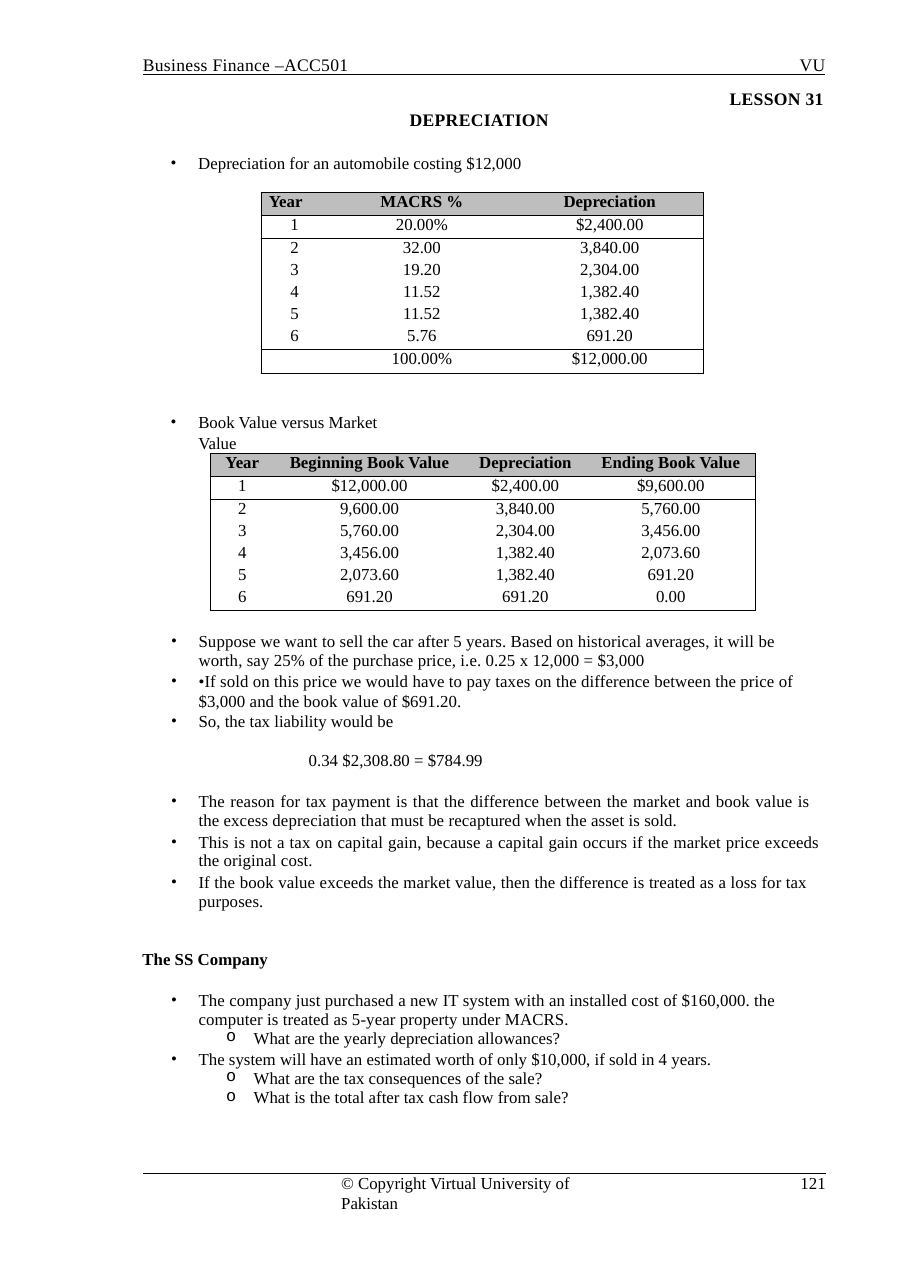
from lxml import etree
from pptx import Presentation
from pptx import util as u
from pptx.dml.color import RGBColor
from pptx.enum import shapes, text
from pptx.oxml.ns import qn

PAGE_WIDTH, PAGE_HEIGHT = u.Pt(595), u.Pt(842.5)
BLACK = RGBColor(0x00, 0x00, 0x00)
GREY = RGBColor(0xBE, 0xBE, 0xBE)
FONT = "Times New Roman"
LEFT, CENTER, RIGHT, JUSTIFY = (
    text.PP_ALIGN.LEFT, text.PP_ALIGN.CENTER, text.PP_ALIGN.RIGHT, text.PP_ALIGN.JUSTIFY)

MACRS = [
    ["Year", "MACRS %", "Depreciation"],
    ["1", "20.00%", "$2,400.00"],
    ["2", "32.00", "3,840.00"],
    ["3", "19.20", "2,304.00"],
    ["4", "11.52", "1,382.40"],
    ["5", "11.52", "1,382.40"],
    ["6", "5.76", "691.20"],
    ["", "100.00%", "$12,000.00"],
]
BOOK_VALUES = [
    ["Year", "Beginning Book Value", "Depreciation", "Ending Book Value"],
    ["1", "$12,000.00", "$2,400.00", "$9,600.00"],
    ["2", "9,600.00", "3,840.00", "5,760.00"],
    ["3", "5,760.00", "2,304.00", "3,456.00"],
    ["4", "3,456.00", "1,382.40", "2,073.60"],
    ["5", "2,073.60", "1,382.40", "691.20"],
    ["6", "691.20", "691.20", "0.00"],
]
BULLET = dict(bullet="•", margin=0.51)
LONG = dict(BULLET, spacing=12.6, right=0.2, tracking=5)
REASON = dict(BULLET, align=JUSTIFY, tracking=5)
QUESTION = dict(bullet="o", margin=1.01, bullet_font="Courier New", level=1)
NOTES = [
    ("Suppose we want to sell the car after 5 years. Based on historical averages, it will be "
     "worth, say 25% of the purchase price, i.e. 0.25 x 12,000 = $3,000", LONG),
    ("•If sold on this price we would have to pay taxes on the difference between the price of "
     "$3,000 and the book value of $691.20.", dict(LONG, before=1.1)),
    ("So, the tax liability would be", dict(BULLET, before=0.2)),
    ("0.34 $2,308.80 = $784.99", dict(margin=1.51, before=12)),
    ("The reason for tax payment is that the difference between the market and book value is "
     "the excess depreciation that must be recaptured when the asset is sold.",
     dict(REASON, spacing=12.6, before=14.4, right=0.13)),
    ("This is not a tax on capital gain, because a capital gain occurs if the market price exceeds "
     "the original cost.", dict(REASON, spacing=12.2, before=1.8, right=0.04)),
    ("If the book value exceeds the market value, then the difference is treated as a loss for "
     "tax purposes.", dict(REASON, spacing=12.3, before=1.8, right=0.15)),
    ("The SS Company", dict(bold=True, before=24.6)),
    ("The company just purchased a new IT system with an installed cost of $160,000. the "
     "computer is treated as 5-year property under MACRS.", dict(LONG, before=14.6)),
    ("What are the yearly depreciation allowances?", dict(QUESTION, spacing=11.9)),
    ("The system will have an estimated worth of only $10,000, if sold in 4 years.",
     dict(BULLET, spacing=12.9, before=0.8)),
    ("What are the tax consequences of the sale?", dict(QUESTION, spacing=12.4)),
    ("What is the total after tax cash flow from sale?", dict(QUESTION, spacing=12.7)),
]


def across(percent):
    return round(PAGE_WIDTH * percent / 100)


def down(percent):
    return round(PAGE_HEIGHT * percent / 100)


def fill_paragraph(paragraph, words, size=11, bold=False, align=LEFT, margin=0, right=0,
                   bullet=None, bullet_font=FONT, level=0, before=0, spacing=None, tracking=0):
    run = paragraph.add_run()
    run.text = words
    if tracking:
        run._r.get_or_add_rPr().set("spc", str(tracking))
    properties = paragraph._p.get_or_add_pPr()
    properties.set("marL", str(u.Inches(margin)))
    properties.set("marR", str(u.Inches(right)))
    properties.set("indent", str(u.Inches(-0.25 if bullet else 0)))
    if bullet:
        etree.SubElement(properties, qn("a:buFont"), typeface=bullet_font)
        etree.SubElement(properties, qn("a:buChar"), char=bullet)
    paragraph.level = level
    paragraph.alignment = align
    paragraph.space_before = u.Pt(before)
    if spacing:
        paragraph.line_spacing = u.Pt(spacing)
    font = paragraph.font
    font.name, font.size, font.bold = FONT, u.Pt(size), bold
    font.color.rgb = BLACK


def add_text(slide, box, items):
    left, top, width, height = box
    shape = slide.shapes.add_textbox(across(left), down(top), across(width), down(height))
    frame = shape.text_frame
    frame.word_wrap = True
    frame.margin_left = frame.margin_right = frame.margin_bottom = 0
    frame.margin_top = u.Inches(0.02)
    for index, (words, style) in enumerate(items):
        paragraph = frame.add_paragraph() if index else frame.paragraphs[0]
        fill_paragraph(paragraph, words, **style)


def add_rule(slide, left, top, width, weight):
    rule = slide.shapes.add_connector(
        shapes.MSO_CONNECTOR.STRAIGHT, across(left), down(top), across(left + width), down(top))
    rule.line.color.rgb = BLACK
    rule.line.width = u.Pt(weight)
    etree.SubElement(rule._element.spPr, qn("a:effectLst"))


def set_borders(cell, sides):
    properties = cell._tc.get_or_add_tcPr()
    for side in "LRTB":
        line = etree.SubElement(properties, qn(f"a:ln{side}"), w=str(u.Pt(0.75)))
        if side in sides:
            fill = etree.SubElement(line, qn("a:solidFill"))
            etree.SubElement(fill, qn("a:srgbClr"), val=str(BLACK))
        else:
            etree.SubElement(line, qn("a:noFill"))


def add_schedule(slide, box, rows, column_shares, row_shares, ruled, year_align):
    left, top, width, height = box
    last = len(column_shares) - 1
    table = slide.shapes.add_table(
        len(rows), last + 1, across(left), down(top), across(width), down(height)).table
    table.first_row = table.horz_banding = False
    for column, share in zip(table.columns, column_shares):
        column.width = across(width * share / sum(column_shares))
    for r, values in enumerate(rows):
        table.rows[r].height = down(height * row_shares[r] / sum(row_shares))
        for c, value in enumerate(values):
            cell = table.cell(r, c)
            cell.margin_left = cell.margin_right = cell.margin_top = cell.margin_bottom = 0
            sides = {"L": c == 0, "R": c == last, "T": r in ruled, "B": r + 1 in ruled}
            set_borders(cell, [side for side, shown in sides.items() if shown])
            if r == 0:
                cell.fill.solid()
                cell.fill.fore_color.rgb = GREY
            else:
                cell.fill.background()
            paragraph = cell.text_frame.paragraphs[0]
            if not value:
                etree.SubElement(paragraph._p, qn("a:endParaRPr"), sz="1100")
                continue
            align = year_align if r == c == 0 else CENTER
            fill_paragraph(paragraph, value, bold=r == 0, align=align,
                           margin=0.07 if align == LEFT else 0)


def add_header(slide, box):
    left, top, width, height = box
    line = (left, top, width, height / 2)
    style = dict(size=11.5, tracking=20)
    add_text(slide, line, [("Business Finance –ACC501", style)])
    add_text(slide, line, [("VU", dict(style, align=RIGHT))])
    add_rule(slide, left, top + 1.75, width, 0.75)
    add_text(slide, (left, top + 2.65, width - 0.2, height / 2),
             [("LESSON 31", dict(style, bold=True, align=RIGHT))])


def add_footer(slide, box):
    left, top, width, height = box
    add_rule(slide, left, top + 0.15, width, 1)
    add_text(slide, (left + width * 0.29, top, 31.1, height),
             [("© Copyright Virtual University of Pakistan", dict(spacing=12.8, tracking=-2))])
    add_text(slide, (left + width * 0.9, top, width * 0.1, height),
             [("121", dict(spacing=12.8, align=RIGHT))])


def main():
    presentation = Presentation()
    presentation.slide_width, presentation.slide_height = PAGE_WIDTH, PAGE_HEIGHT
    slide = presentation.slides.add_slide(presentation.slide_layouts[6])
    topic = dict(bullet="•", margin=0.26)
    add_header(slide, (15.7, 4.02, 75, 4))
    add_text(slide, (18.64, 8.29, 68.04, 5.2), [
        ("DEPRECIATION", dict(size=11.5, bold=True, align=CENTER, tracking=20)),
        ("Depreciation for an automobile costing $12,000", dict(topic, before=15))])
    add_schedule(slide, (28.69, 14.96, 48.67, 14.05), MACRS, (0.61, 1.7, 1.71),
                 [0.21] + [0.2] * 6 + [0.22], {0, 1, 2, 7, 8}, LEFT)
    add_text(slide, (18.64, 31.75, 27, 3.4),
             [("Book Value versus Market Value", dict(topic, spacing=13.6, right=0.2))])
    add_schedule(slide, (23.12, 35.21, 59.93, 12.2), BOOK_VALUES, (0.58, 1.73, 1.1, 1.54),
                 [0.21, 0.21] + [0.2] * 4 + [0.21], {0, 1, 2, 7}, CENTER)
    add_text(slide, (15.65, 48.88, 75, 37), NOTES)
    add_footer(slide, (15.75, 90.95, 75, 3.5))
    presentation.save("out.pptx")


if __name__ == "__main__":
    main()
